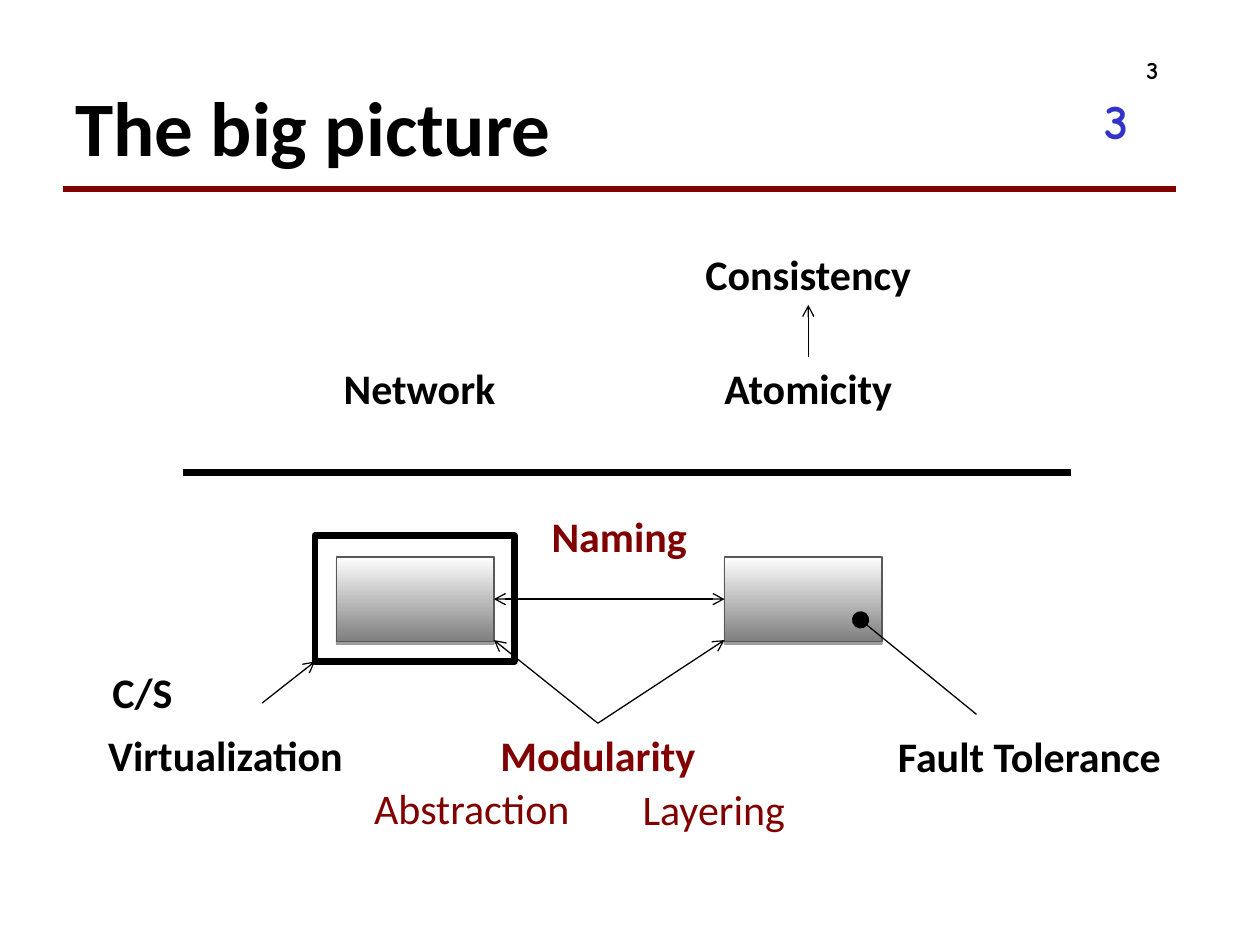
from dataclasses import dataclass
from typing import Optional

from lxml.etree import SubElement
from pptx import Presentation
from pptx.dml.color import RGBColor
from pptx.enum.shapes import MSO_CONNECTOR as CONN, MSO_SHAPE as SHAPE
from pptx.enum.text import MSO_ANCHOR as ANCHOR, MSO_AUTO_SIZE as AUTO, PP_ALIGN as ALIGN
from pptx.oxml.ns import qn
from pptx.util import Inches, Pt

COLORS = {
    "black": "000000",
    "maroon": "800000",
    "blue": "3333CC",
    "white": "FFFFFF",
    "gray": "7F7F7F",
    "outline": "595959",
}
TOP, LEFT, BOTTOM, RIGHT = range(4)


@dataclass
class Label:
    text: str
    x: float
    y: float
    w: float
    h: float = 0.5
    color: str = "black"
    size: int = 24
    bold: bool = True
    font: str = "Calibri"
    align: ALIGN = ALIGN.CENTER
    anchor: ANCHOR = ANCHOR.TOP
    grow: bool = True


@dataclass
class Box:
    name: str
    x: float
    y: float
    w: float
    h: float
    filled: bool = True


@dataclass
class Link:
    start: tuple[float, float]
    end: tuple[float, float]
    head: Optional[str] = None
    tail: Optional[str] = None
    width: float = 0.75
    color: str = "black"
    size: str = "med"
    begin_at: Optional[tuple[str, int]] = None
    end_at: Optional[tuple[str, int]] = None


LABELS = [
    Label("3", 8.67, 0.67, 1.17, 0.67, "blue", 28, font="Comic Neue", align=ALIGN.LEFT, grow=False),
    Label("The big picture", 0.5, 0.5, 8.33, 1, size=44, align=ALIGN.LEFT,
          anchor=ANCHOR.MIDDLE, grow=False),
    Label("3", 9, 0.39, 0.83, 0.83, size=14, font="Comic Neue", align=ALIGN.LEFT, grow=False),
    Label("Naming", 4.08, 4, 1.67, color="maroon"),
    Label("Modularity", 3.83, 5.74, 1.83, color="maroon"),
    Label("Abstraction", 2.83, 6.16, 1.83, color="maroon", bold=False),
    Label("Layering", 4.75, 6.17, 1.83, color="maroon", bold=False),
    Label("Network", 2.58, 2.83, 1.5),
    Label("Atomicity", 5.58, 2.83, 1.67),
    Label("Consistency", 5.25, 1.92, 2.33),
    Label("C/S", 0.67, 5.24, 0.92),
    Label("Virtualization", 0.75, 5.74, 2.08),
    Label("Fault Tolerance", 6.92, 5.75, 2.5),
]
BOXES = [
    Box("Client", 2.67, 4.42, 1.25, 0.67),
    Box("Server", 5.75, 4.42, 1.25, 0.67),
    Box("Virtual Machine", 2.5, 4.25, 1.58, 1, filled=False),
]
LINKS = [
    Link((0.5, 1.5), (9.33, 1.5), width=3, color="maroon"),
    Link((1.45, 3.75), (8.5, 3.75), width=4),
    Link((3.92, 4.75), (5.75, 4.75), "arrow", "arrow",
         begin_at=("Client", RIGHT), end_at=("Server", LEFT)),
    Link((3.92, 5.08), (4.75, 5.75), "arrow", end_at=("Modularity", TOP)),
    Link((5.75, 5.08), (4.75, 5.75), "arrow", end_at=("Modularity", TOP)),
    Link((6.42, 2.42), (6.42, 2.83), "arrow",
         begin_at=("Consistency", BOTTOM), end_at=("Atomicity", TOP)),
    Link((2.5, 5.25), (2.08, 5.58), "arrow"),
    Link((6.83, 4.92), (7.75, 5.67), "oval", size="lg"),
]


def rgb(name: str) -> RGBColor:
    """Return the named colour."""
    return RGBColor.from_string(COLORS[name])


def add_label(s, label: Label):
    """Draw one text label."""
    sp = s.shapes.add_textbox(*map(Inches, (label.x, label.y, label.w, label.h)))
    tf = sp.text_frame
    tf.word_wrap = True
    tf.auto_size = AUTO.SHAPE_TO_FIT_TEXT if label.grow else AUTO.NONE
    tf.vertical_anchor = label.anchor
    p = tf.paragraphs[0]
    p.text = label.text
    p.alignment = label.align
    p.font.name = label.font
    p.font.size = Pt(label.size)
    p.font.bold = label.bold
    p.font.color.rgb = rgb(label.color)
    return sp


def add_shadow(sp) -> None:
    """Give a shape a sharp shadow just below it."""
    effects = sp._element.spPr.find(qn("a:effectLst"))
    shadow = SubElement(effects, qn("a:outerShdw"), blurRad="0", dist=str(Pt(1.6)),
                        dir="5400000", rotWithShape="0")
    color = SubElement(shadow, qn("a:srgbClr"), val=COLORS["black"])
    SubElement(color, qn("a:alpha"), val="38000")


def add_box(s, box: Box):
    """Draw a shaded module or a heavy open frame."""
    sp = s.shapes.add_shape(SHAPE.RECTANGLE, *map(Inches, (box.x, box.y, box.w, box.h)))
    sp.shadow.inherit = False
    if box.filled:
        sp.fill.gradient()
        sp.fill.gradient_angle = 270
        for stop, position, name in zip(sp.fill.gradient_stops, (0, 1), ("white", "gray")):
            stop.position = position
            stop.color.rgb = rgb(name)
        add_shadow(sp)
    else:
        sp.fill.background()
    sp.line.color.rgb = rgb("outline" if box.filled else "black")
    sp.line.width = Pt(0.75 if box.filled else 4)
    if not box.filled:
        SubElement(sp.line._get_or_add_ln(), qn("a:round"))
    return sp


def add_link(s, link: Link, nodes: dict) -> None:
    """Draw a line with its ends and joins."""
    cx = s.shapes.add_connector(CONN.STRAIGHT, *map(Inches, link.start + link.end))
    cx.line.color.rgb = rgb(link.color)
    cx.line.width = Pt(link.width)
    ln = cx.line._get_or_add_ln()
    for tag, kind in (("a:headEnd", link.head), ("a:tailEnd", link.tail)):
        if kind:
            SubElement(ln, qn(tag), type=kind, w=link.size, len=link.size)
    SubElement(cx._element.spPr, qn("a:effectLst"))
    for join, target in ((cx.begin_connect, link.begin_at), (cx.end_connect, link.end_at)):
        if target:
            name, site = target
            join(nodes[name], site)


def main() -> None:
    """Build the slide and save it."""
    prs = Presentation()
    prs.slide_width, prs.slide_height = Inches(10), Inches(7.5)
    s = prs.slides.add_slide(prs.slide_layouts[6])
    nodes = {box.name: add_box(s, box) for box in BOXES}
    nodes |= {label.text: add_label(s, label) for label in LABELS}
    for link in LINKS:
        add_link(s, link, nodes)
    prs.save("out.pptx")


if __name__ == "__main__":
    main()
